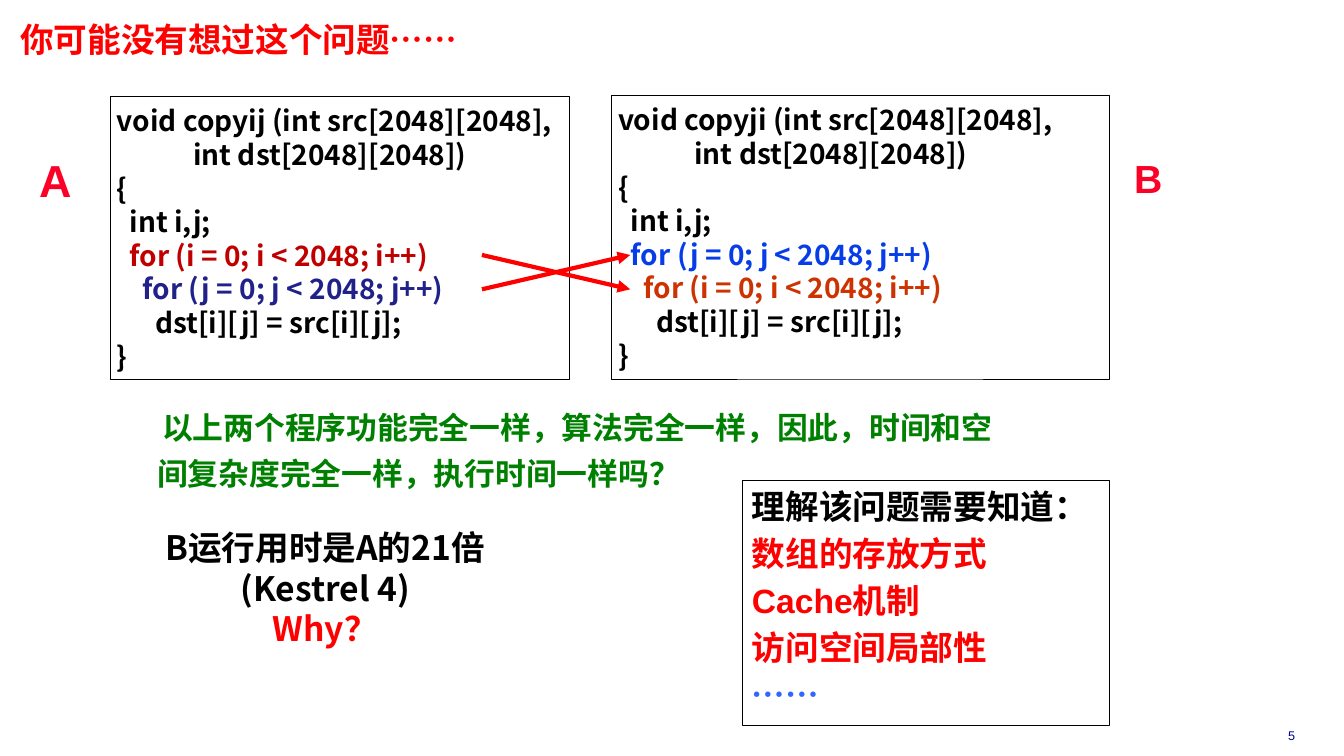
from dataclasses import dataclass

from lxml.etree import SubElement
from pptx import Presentation
from pptx.dml.color import RGBColor
from pptx.enum.shapes import MSO_CONNECTOR as CONN, MSO_SHAPE as SHAPE
from pptx.enum.text import MSO_ANCHOR as ANCHOR, PP_ALIGN as ALIGN
from pptx.oxml.ns import qn
from pptx.util import Emu, Inches, Pt


@dataclass(frozen=True)
class Theme:
    """Colours, fonts and type sizes of the slide."""
    cjk: str = "Noto Sans CJK SC"
    latin: str = "Arial"
    ink: str = "000000"
    red: str = "FF0000"
    label: str = "FC0128"
    green: str = "008000"
    dots: str = "3366FF"
    number: str = "000099"
    head: float = 24
    question: float = 22
    code: float = 20
    small: float = 9


@dataclass(frozen=True)
class Box:
    """A region in percent of the slide's width and height."""
    x: float
    y: float
    w: float
    h: float

    def emu(self):
        """Return left, top, width and height as lengths."""
        return (across(self.x), down(self.y), across(self.w), down(self.h))


T = Theme()
WIDTH, HEIGHT = Inches(13.33), Inches(7.5)


def across(share):
    """Turn a percentage of the slide width into a length."""
    return Emu(round(WIDTH * share / 100))


def down(share):
    """Turn a percentage of the slide height into a length."""
    return Emu(round(HEIGHT * share / 100))


def style(font, size, color, name, bold=True):
    """Set a font's face, size, weight and colour."""
    font.size, font.bold, font.name = Pt(size), bold, name
    font.color.rgb = RGBColor.from_string(color)


def write(sp, lines, size, name=T.cjk, inset=(0.1, 0.05), align=ALIGN.LEFT,
          leading=None, gap=0, bold=True):
    """Fill a shape with paragraphs, each a list of (text, colour) runs."""
    tf = sp.text_frame
    tf.word_wrap, tf.vertical_anchor = True, ANCHOR.TOP
    tf.margin_left = tf.margin_right = Inches(inset[0])
    tf.margin_top = tf.margin_bottom = Inches(inset[1])
    for i, runs in enumerate(lines):
        p = tf.add_paragraph() if i else tf.paragraphs[0]
        p.alignment, p.line_spacing = align, leading
        p.space_before = Pt(gap if i else 0)
        style(p.font, size, runs[-1][1], name, bold)
        for text, color in runs:
            r = p.add_run()
            r.text = text
            if len(runs) > 1:
                r.font.color.rgb = RGBColor.from_string(color)
            SubElement(r._r.get_or_add_rPr(), qn("a:ea"), typeface=T.cjk)
    return tf


def text_box(s, box, lines, size, **options):
    """Place unframed text."""
    return write(s.shapes.add_textbox(*box.emu()), lines, size, **options)


def frame(s, box, width):
    """Place an empty rectangle with a thin black outline."""
    sp = s.shapes.add_shape(SHAPE.RECTANGLE, *box.emu())
    sp.shadow.inherit = False
    sp.fill.background()
    sp.line.color.rgb = RGBColor.from_string(T.ink)
    sp.line.width = Pt(width)
    return sp


def code_panel(s, box, name, loops, label_shift, label_size):
    """Place one program in a frame, with its letter beside it."""
    (outer, outer_color), (inner, inner_color) = loops
    head = "for ({0} = 0; {0} < 2048; {0}++)"
    lines = [
        (f"void copy{outer}{inner} (int src[2048][2048],", T.ink),
        ("            int dst[2048][2048])", T.ink),
        ("{", T.ink),
        ("  int i,j;", T.ink),
        ("  " + head.format(outer), outer_color),
        ("    " + head.format(inner), inner_color),
        ("      dst[i][j] = src[i][j];", T.ink),
        ("}", T.ink),
    ]
    write(frame(s, box, 0.5), [[line] for line in lines], T.code, inset=(0.07, 0.07))
    label = Box(box.x + label_shift, 20.67, 4.73, 7)
    text_box(s, label, [[(name, T.label)]], label_size, name=T.latin, leading=0.85)


def swap_arrows(s, box):
    """Cross two arrows between the corners of the box."""
    left, top, w, h = box.emu()
    for start, end in ((top, top + h), (top + h, top)):
        c = s.shapes.add_connector(CONN.STRAIGHT, left, start, left + w, end)
        c.line.color.rgb = RGBColor.from_string(T.red)
        c.line.width = Pt(3)
        SubElement(c.line._get_or_add_ln(), qn("a:tailEnd"), type="triangle")
        SubElement(c._element.spPr, qn("a:effectLst"))


def question(s, box):
    """Place the green question with a slight first-line indent."""
    text = "以上两个程序功能完全一样，算法完全一样，因此，时间和空间复杂度完全一样，执行时间一样吗？"
    tf = text_box(s, box, [[(text, T.green)]], T.question, leading=1.25)
    pPr = tf.paragraphs[0]._p.get_or_add_pPr()
    pPr.set("marL", str(Inches(0.23)))
    pPr.set("indent", str(Inches(0.05)))


def answer(s, box):
    """Place the centred running-time result."""
    lines = [("B运行用时是A的21倍", T.ink), ("(Kestrel 4)", T.ink), ("Why？", T.red)]
    text_box(s, box, [[line] for line in lines], T.head,
             inset=(0.04, 0.04), align=ALIGN.CENTER)


def needed_topics(s, box):
    """Place the framed list of background topics."""
    lines = [("理解该问题需要知道：", T.ink), ("数组的存放方式", T.red),
             ("Cache机制", T.red), ("访问空间局部性", T.red), ("……", T.dots)]
    tf = write(frame(s, box, 0.75), [[line] for line in lines], T.head,
               name=T.latin, gap=4.8)
    tf.paragraphs[-1].font.name = T.cjk


def main():
    """Build the slide and save it."""
    prs = Presentation()
    prs.slide_width, prs.slide_height = WIDTH, HEIGHT
    s = prs.slides.add_slide(prs.slide_layouts[6])
    text_box(s, Box(92.57, 95.6, 7.05, 3.33), [[("5", T.number)]], T.small,
             name=T.latin, align=ALIGN.CENTER, bold=False)
    text_box(s, Box(0.98, 2.8, 63.6, 6.27), [[("你可能没有想过这个问题……", T.red)]],
             T.head, inset=(0.07, 0.03), leading=0.87)
    question(s, Box(9.23, 52.13, 67.5, 14.4))
    code_panel(s, Box(45.46, 12.67, 37.06, 37.47), "B",
               (("j", "063DE8"), ("i", "CC3300")), 38.19, 28)
    code_panel(s, Box(8.18, 12.8, 34.2, 37.33), "A",
               (("i", "C00000"), ("j", "21218A")), -6, 32)
    swap_arrows(s, Box(35.86, 33.73, 11.03, 4.54))
    answer(s, Box(10.73, 69.2, 26.93, 22.67))
    needed_topics(s, Box(55.21, 63.6, 27.31, 32.4))
    prs.save("out.pptx")


if __name__ == "__main__":
    main()
